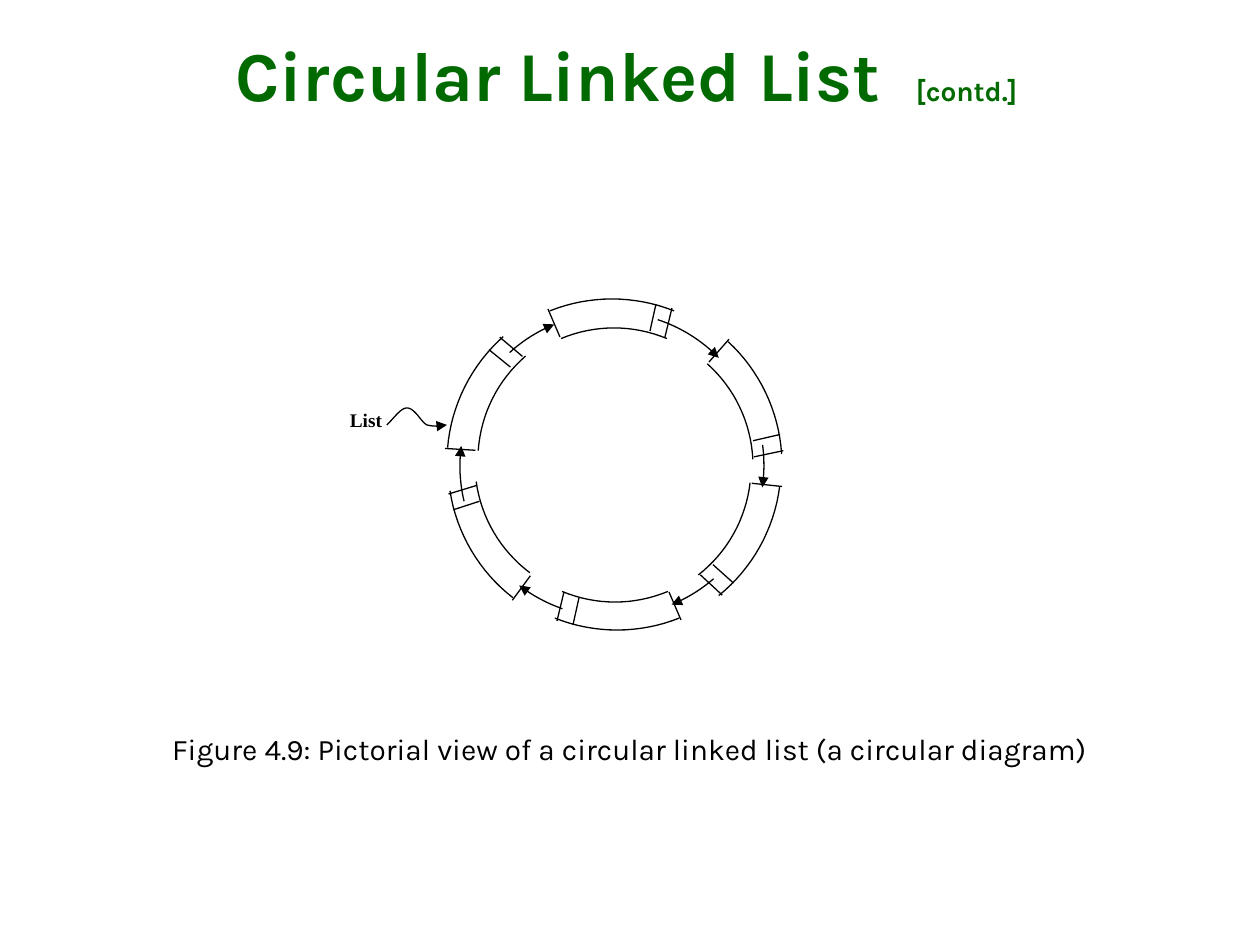
from math import cos, radians, sin

from lxml.etree import SubElement
from pptx import Presentation
from pptx.dml.color import RGBColor
from pptx.enum.shapes import MSO_CONNECTOR
from pptx.enum.text import MSO_ANCHOR, MSO_AUTO_SIZE, PP_ALIGN
from pptx.oxml.ns import qn
from pptx.util import Pt

PX = 914400 / 126
BLACK = "000000"
STEPS = 16


def rgb(color):
    return RGBColor.from_string(color)


def add_curve(shapes, points, arrow, pivot=None):
    """Draw an open line through points in px; its frame also takes in the pivot."""
    emu = [(x * PX, y * PX) for x, y in points + ([pivot] if pivot else [])]
    builder = shapes.build_freeform(*emu[0])
    builder.add_line_segments(emu[1:], close=False)
    sp = builder.convert_to_shape()
    if pivot:
        segment = list(sp._element.iter(qn("a:lnTo")))[-1]
        segment.getparent().remove(segment)
    sp.shadow.inherit = False
    sp.fill.background()
    sp.line.color.rgb = rgb(BLACK)
    sp.line.width = Pt(0.75)
    if arrow:
        SubElement(sp.line._get_or_add_ln(), qn("a:tailEnd"), type="triangle")
    return sp


prs = Presentation()
prs.slide_width, prs.slide_height = round(1260 * PX), round(945 * PX)
s = prs.slides.add_slide(prs.slide_layouts[5])

# Title
title = s.shapes.title
title.left, title.top, title.width, title.height = [round(v * PX) for v in (63, 11, 1134, 126)]
tf = title.text_frame
tf.auto_size = MSO_AUTO_SIZE.NONE
tf.vertical_anchor = MSO_ANCHOR.MIDDLE
p = tf.paragraphs[0]
p.alignment = PP_ALIGN.CENTER
for text, size in [("Circular Linked List  ", 40), ("[contd.] ", 16)]:
    r = p.add_run()
    r.text = text
    r.font.size, r.font.name, r.font.bold = Pt(size), "Karla", True
    r.font.color.rgb = rgb("006A00")

ring = s.shapes.add_group_shape().shapes

# Nodes: clockwise turn from the top, centres of the inner and the outer arc
nodes = [(0, (614, 465), (612, 467)), (64.5, (616, 466), (614, 465)),
         (119.3, (614, 467), (613, 465)), (180, (615, 465), (617, 462)),
         (239.5, (612, 463), (616, 465)), (296.6, (615, 460), (615, 462))]
node_sides = [(-64, -158, -52, -130), (60, -159, 53, -130), (38, -136, 44, -163)]
arcs = []
for turn, inner, outer in nodes:
    arcs += [(inner, 137, -22.7, 22.7, turn, False), (outer, 168, -21.7, 21.7, turn, False)]
    cx, cy = outer
    c, d = cos(radians(turn)), sin(radians(turn))
    for x1, y1, x2, y2 in node_sides:
        ends = (cx + x1 * c - y1 * d, cy + x1 * d + y1 * c,
                cx + x2 * c - y2 * d, cy + x2 * d + y2 * c)
        side = ring.add_connector(MSO_CONNECTOR.STRAIGHT, *[round(v * PX) for v in ends])
        side.line.color.rgb = rgb(BLACK)
        side.line.width = Pt(0.75)
        SubElement(side._element.spPr, qn("a:effectLst"))

# Links between nodes: centre, start and end angle
links = [((610, 464), 18.3, 45.7), ((612, 465), 82.4, 98.5), ((614, 464), 139, 157.7),
         ((612, 465), 199, 217.6), ((612, 466), 256.6, 277.6), ((612, 465), 317.7, 337.7)]
arcs += [(center, 152, start, end, 0, True) for center, start, end in links]

for center, radius, start, end, turn, arrow in arcs:
    cx, cy = center
    angles = [radians(start + (end - start) * i / STEPS) for i in range(STEPS + 1)]
    points = [(cx + radius * sin(a), cy - radius * cos(a)) for a in angles]
    sp = add_curve(ring, points, arrow, center)
    # A shape turns about its middle, so shift it to turn about the ring's centre
    sp.rotation = turn
    sp.left += round(radius / 2 * sin(radians(turn)) * PX)
    sp.top += round(radius / 2 * (1 - cos(radians(turn))) * PX)

# Wavy pointer from the label to the first node, as joined Bézier pieces
wave = [(387, 425), (395, 417), (401, 408), (407, 408), (415, 408), (421, 422),
        (427, 425), (435, 427), (441, 426), (447, 425)]
points = [wave[0]]
for k in range(0, 9, 3):
    for i in range(1, STEPS + 1):
        t = i / STEPS
        weights = ((1 - t) ** 3, 3 * t * (1 - t) ** 2, 3 * t * t * (1 - t), t ** 3)
        points.append([sum(w * pt[axis] for w, pt in zip(weights, wave[k:k + 4]))
                       for axis in (0, 1)])
add_curve(ring, points, True)

# Label and caption
caption = "Figure 4.9: Pictorial view of a circular linked list (a circular diagram)"
for shapes, text, box, font, size, bold in [
        (ring, "List", (318, 402, 96, 38), "Times New Roman", 11, True),
        (s.shapes, caption, (63, 725, 1134, 136), "Karla", 17, False)]:
    tf = shapes.add_textbox(*[round(v * PX) for v in box]).text_frame
    tf.word_wrap = True
    tf.text = text
    p = tf.paragraphs[0]
    p.alignment = PP_ALIGN.CENTER
    r = p.runs[0]
    r.font.size, r.font.name, r.font.bold = Pt(size), font, bold
    r.font.color.rgb = rgb(BLACK)

prs.save("out.pptx")
